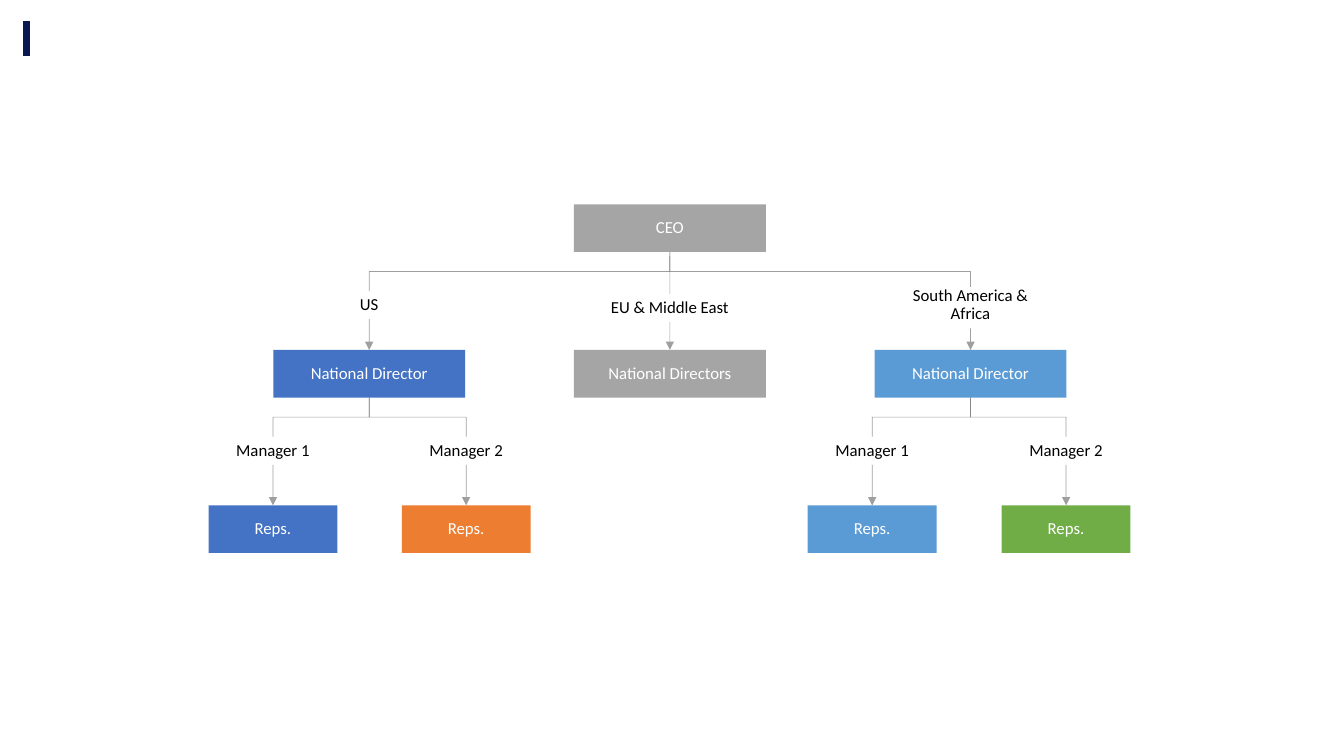
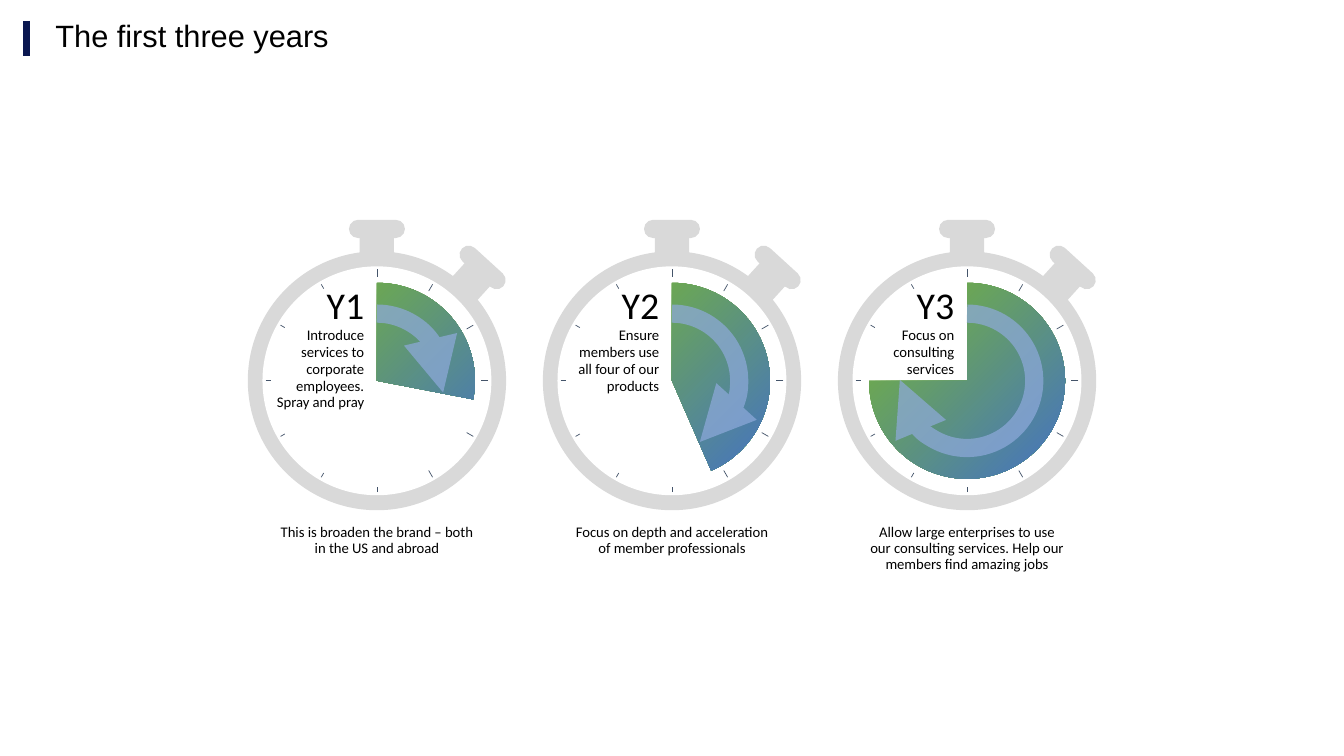
from dataclasses import dataclass
from math import copysign, cos, radians, sin

from lxml import etree
from pptx import Presentation
from pptx.dml.color import RGBColor
from pptx.enum.shapes import MSO_CONNECTOR, MSO_SHAPE
from pptx.enum.text import MSO_ANCHOR, PP_ALIGN
from pptx.oxml.ns import qn
from pptx.util import Pt

RECTANGLE, ROUNDED, OVAL = MSO_SHAPE.RECTANGLE, MSO_SHAPE.ROUNDED_RECTANGLE, MSO_SHAPE.OVAL
PIE, ARC = MSO_SHAPE.PIE, MSO_SHAPE.ARC
STRAIGHT, ELBOW = MSO_CONNECTOR.STRAIGHT, MSO_CONNECTOR.ELBOW
TOP, MIDDLE = MSO_ANCHOR.TOP, MSO_ANCHOR.MIDDLE
LEFT, CENTER, RIGHT = PP_ALIGN.LEFT, PP_ALIGN.CENTER, PP_ALIGN.RIGHT


@dataclass(frozen=True)
class Theme:
    navy: str = "0A1750"
    black: str = "000000"
    white: str = "FFFFFF"
    gray: str = "A5A5A5"
    link: str = "808080"
    blue: str = "4472C4"
    sky: str = "5B9BD5"
    orange: str = "ED7D31"
    green: str = "70AD47"
    case: str = "D9D9D9"
    tick: str = "44546A"
    sweep: str = "8FAADC"
    heading_font: str = "Arial"
    body_font: str = "Calibri"
    title_size: float = 22
    year_size: float = 27
    chart_size: float = 12
    note_size: float = 10.5


theme = Theme()


def write(holder, *texts, sizes=(theme.chart_size,), color=theme.black, font=theme.body_font,
          align=CENTER, anchor=MIDDLE, spacing=0.9, margins=None):
    frame = holder.text_frame
    frame.word_wrap = True
    frame.vertical_anchor = anchor
    if margins is not None:
        frame.margin_left = frame.margin_right = Pt(margins)
        frame.margin_top = frame.margin_bottom = Pt(margins)
    for index, (text, size) in enumerate(zip(texts, sizes)):
        paragraph = frame.add_paragraph() if index else frame.paragraphs[0]
        paragraph.alignment = align
        paragraph.line_spacing = spacing
        run = paragraph.add_run()
        run.text = text
        run.font.name = font
        run.font.size = Pt(size)
        run.font.color.rgb = RGBColor.from_string(color)


def stroke(item, color=theme.link, width=0.5, opacity=100, arrow=False):
    item.line.color.rgb = RGBColor.from_string(color)
    item.line.width = Pt(width)
    properties = item.element.spPr
    line = properties.find(qn("a:ln"))
    if opacity < 100:
        shade = line.find(".//" + qn("a:srgbClr"))
        etree.SubElement(shade, qn("a:alpha"), val=str(opacity * 1000))
    if arrow:
        etree.SubElement(line, qn("a:tailEnd"), type="triangle")
    etree.SubElement(properties, qn("a:effectLst"))


prs = Presentation()
prs.slide_width, prs.slide_height = Pt(960), Pt(540)
title_only, blank = prs.slide_layouts[5], prs.slide_layouts[6]

organization = prs.slides.add_slide(blank)
accent = organization.shapes.add_connector(STRAIGHT, Pt(19), Pt(15), Pt(19), Pt(40))
stroke(accent, theme.navy, 4.5)
accent.element.xpath(".//p:cNvPr")[0].set("id", "20")
prs.slide_master.shapes.element.append(accent.element)

ceo_x, region_step = 478.5, 214.75
us_x, south_x = ceo_x - region_step, ceo_x + region_step
us_reps, south_reps = (195, 333), (623, 761.5)
box_height, label_width = 34, 108
ceo_top, director_top, rep_top = 146, 250, 361
region_turn, manager_turn, manager_top = 194, 298, 312

positions = [
    ("ceo", "CEO", ceo_x, ceo_top, 137, theme.gray),
    ("us", "National Director", us_x, director_top, 137, theme.blue),
    ("eu", "National Directors", ceo_x, director_top, 137, theme.gray),
    ("south", "National Director", south_x, director_top, 137, theme.sky),
    ("us1", "Reps.", us_reps[0], rep_top, 92, theme.blue),
    ("us2", "Reps.", us_reps[1], rep_top, 92, theme.orange),
    ("south1", "Reps.", south_reps[0], rep_top, 92, theme.sky),
    ("south2", "Reps.", south_reps[1], rep_top, 92, theme.green),
]
boxes = {}
for key, role, x, top, width, color in positions:
    box = organization.shapes.add_shape(
        RECTANGLE, Pt(x - width / 2), Pt(top), Pt(width), Pt(box_height))
    box.shadow.inherit = False
    box.fill.solid()
    box.fill.fore_color.rgb = RGBColor.from_string(color)
    box.line.fill.background()
    write(box, role, color=theme.white, margins=1)
    boxes[key] = box

branches = [
    ("us", "US", us_x, 208, 20),
    ("eu", "EU & Middle East", ceo_x, 210, 20),
    ("south", "South America & Africa", south_x, 201.5, 33),
    ("us1", "Manager 1", us_reps[0], manager_top, 20),
    ("us2", "Manager 2", us_reps[1], manager_top, 20),
    ("south1", "Manager 1", south_reps[0], manager_top, 20),
    ("south2", "Manager 2", south_reps[1], manager_top, 20),
]
labels = {}
for key, name, x, top, height in branches:
    label = organization.shapes.add_textbox(
        Pt(x - label_width / 2), Pt(top), Pt(label_width), Pt(height))
    write(label, name, margins=3.6)
    labels[key] = label
    arrow = organization.shapes.add_connector(STRAIGHT, 0, 0, 0, 0)
    arrow.begin_connect(label, 2)
    arrow.end_connect(boxes[key], 0)
    stroke(arrow, opacity=75, arrow=True)

trunk = organization.shapes.add_connector(STRAIGHT, 0, 0, 0, 0)
trunk.begin_connect(boxes["ceo"], 2)
trunk.end_connect(labels["eu"], 0)
stroke(trunk, opacity=75)

elbows = [(ceo_x, us_x, region_turn, 208), (ceo_x, south_x, region_turn, 205)]
elbows += [(us_x, x, manager_turn, manager_top) for x in us_reps]
elbows += [(south_x, x, manager_turn, manager_top) for x in south_reps]
for start_x, end_x, turn, bottom in elbows:
    middle = (start_x + end_x) / 2
    reach = abs(end_x - start_x) / 2
    drop = copysign(bottom - turn, end_x - start_x)
    elbow = organization.shapes.add_connector(
        ELBOW, Pt(middle + drop), Pt(turn - reach), Pt(middle - drop), Pt(turn + reach))
    elbow.rotation = 270 if drop > 0 else 90
    stroke(elbow, opacity=75)

timeline = prs.slides.add_slide(title_only)
title = timeline.shapes.title
title.left, title.top, title.width, title.height = Pt(32.4), Pt(0), Pt(618), Pt(53)
write(title, "The first three years", sizes=(theme.title_size,),
      font=theme.heading_font, align=LEFT)

first_x, year_step, center_y = 269.25, 210.75, 272
watch_parts = [
    (OVAL, 0, 0, 184.5, 185, 0, theme.case),
    (ROUNDED, 0, -108.5, 40, 13, 0, theme.case),
    (RECTANGLE, 0, -94, 24.5, 19.5, 0, theme.case),
    (ROUNDED, 75.5, -81, 40, 13, 42.3, theme.case),
    (RECTANGLE, 66.5, -70, 24.5, 19.5, 42.3, theme.case),
    (OVAL, 0, 0, 163.5, 163.5, 0, theme.white),
]
years = [
    ("Y1", "Introduce services to corporate employees. Spray and pray",
     "This is broaden the brand – both in the US and abroad", 10.9, 10),
    ("Y2", "Ensure members use all four of our products",
     "Focus on depth and acceleration of member professionals", 66.4, 65.5),
    ("Y3", "Focus on consulting services",
     "Allow large enterprises to use our consulting services. Help our members find amazing jobs",
     179.9, 180.8),
]
for index, (year, goal, summary, wedge_end, sweep_end) in enumerate(years):
    center_x = first_x + index * year_step
    watch = timeline.shapes.add_group_shape().shapes
    for kind, dx, dy, width, height, angle, color in watch_parts:
        part = watch.add_shape(kind, Pt(center_x + dx - width / 2),
                               Pt(center_y + dy - height / 2), Pt(width), Pt(height))
        part.shadow.inherit = False
        part.rotation = angle
        part.fill.solid()
        part.fill.fore_color.rgb = RGBColor.from_string(color)
        part.line.fill.background()
        if kind == ROUNDED:
            part.adjustments[0] = 0.5
    for degrees in range(0, 360, 30):
        across, up = sin(radians(degrees)), cos(radians(degrees))
        inner, outer = (74 if degrees < 180 else 76), 79.5
        tick = watch.add_connector(
            STRAIGHT, Pt(center_x + outer * across), Pt(center_y - outer * up),
            Pt(center_x + inner * across), Pt(center_y - inner * up))
        stroke(tick, theme.tick)

    wedge = timeline.shapes.add_shape(
        PIE, Pt(center_x - 70), Pt(center_y - 70), Pt(140), Pt(140))
    wedge.shadow.inherit = False
    wedge.line.fill.background()
    wedge.adjustments[0], wedge.adjustments[1] = 270 * 0.6, wedge_end * 0.6
    wedge.fill.gradient()
    for stop, color, position in zip(
            wedge.fill.gradient_stops, (theme.blue, theme.green), (0, 0.84)):
        stop.color.rgb = RGBColor.from_string(color)
        stop.position = position
    gradient = wedge.element.spPr.find(qn("a:gradFill"))
    gradient.remove(gradient.find(qn("a:lin")))
    radial = etree.SubElement(gradient, qn("a:path"), path="circle")
    etree.SubElement(radial, qn("a:fillToRect"), l="100000", t="100000")

    sweep = timeline.shapes.add_shape(
        ARC, Pt(center_x - 48), Pt(center_y - 48), Pt(96), Pt(96))
    sweep.fill.background()
    sweep.adjustments[0], sweep.adjustments[1] = 270 * 0.6, sweep_end * 0.6
    stroke(sweep, theme.sweep, 13, opacity=70, arrow=True)

    goal_box = timeline.shapes.add_textbox(Pt(center_x - 79), Pt(218), Pt(77), Pt(92))
    write(goal_box, year, goal, sizes=(theme.year_size, theme.note_size),
          align=RIGHT, anchor=TOP, spacing=Pt(12))
    summary_box = timeline.shapes.add_textbox(Pt(center_x - 78), Pt(371.5), Pt(156), Pt(42))
    write(summary_box, summary, sizes=(theme.note_size,), anchor=TOP)

prs.save("out.pptx")
